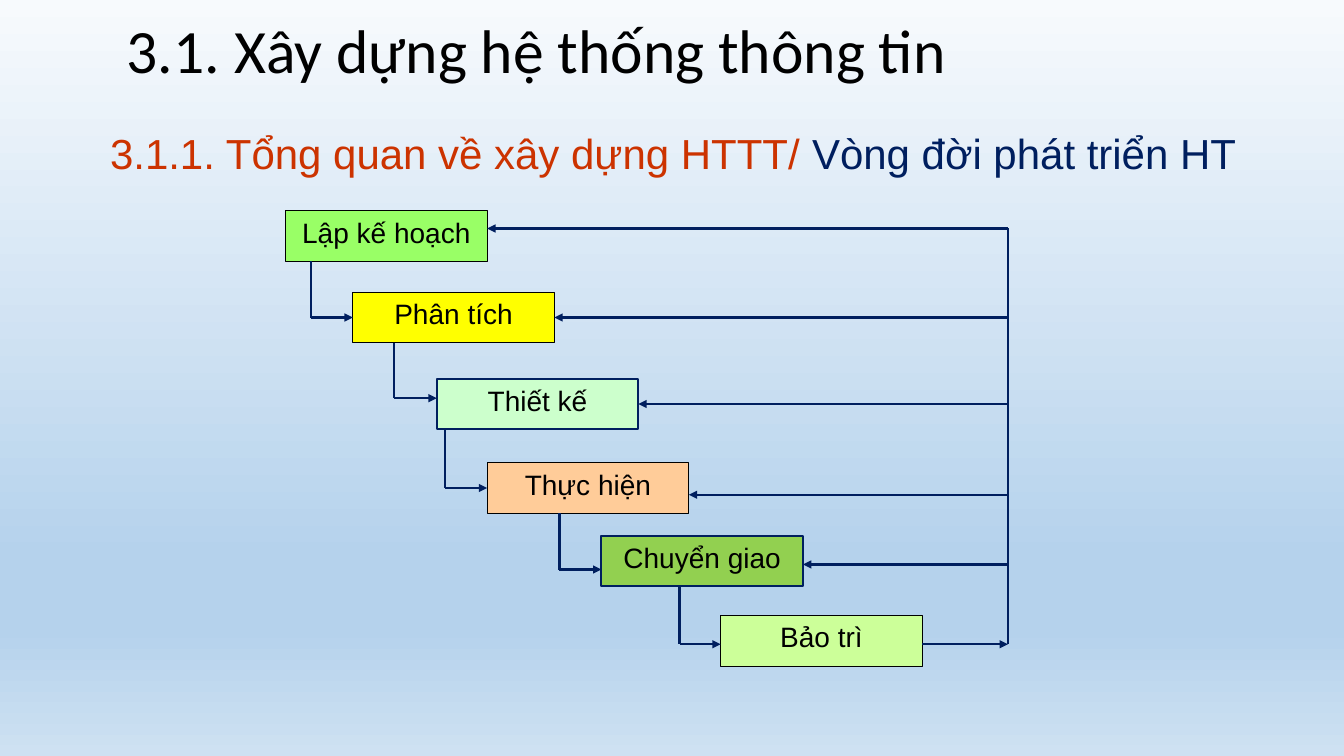
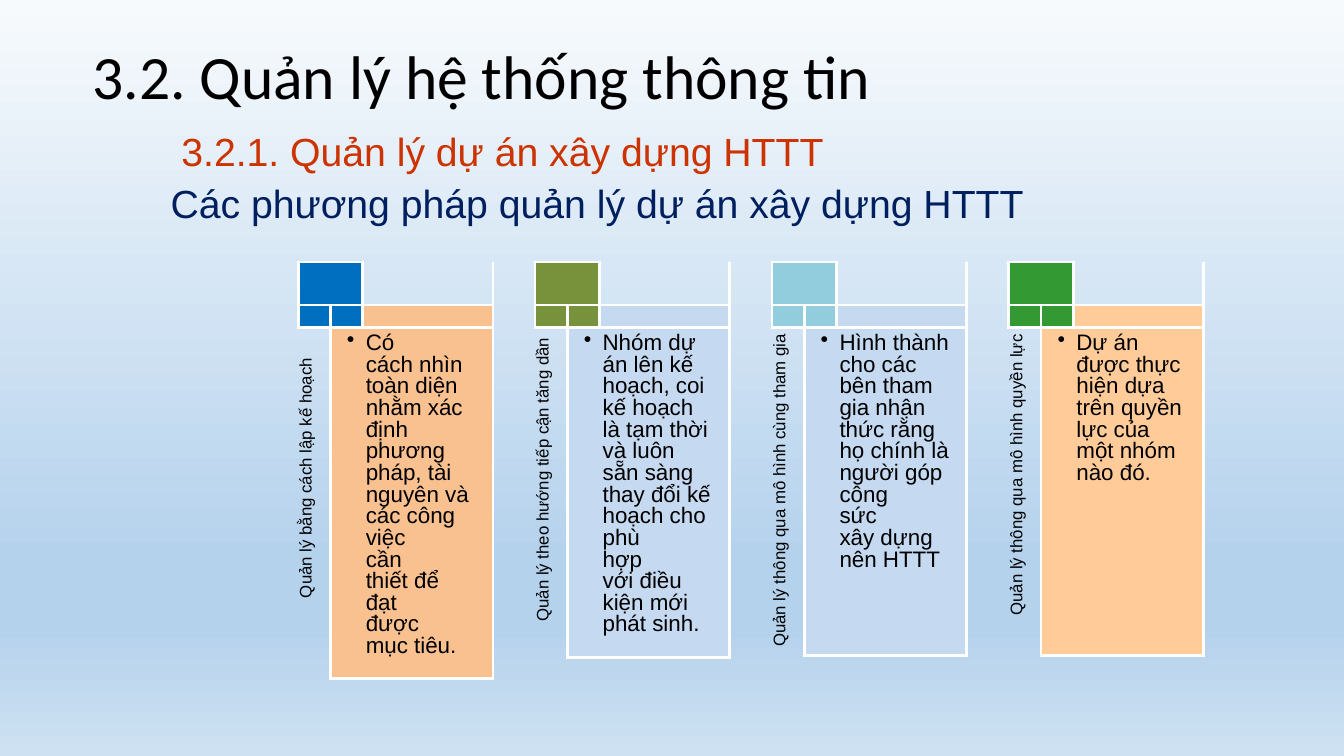
"""Build two slides on developing and managing information systems."""
import collections
import copy

import lxml.etree
import pptx
import pptx.dml.color
import pptx.enum.shapes
import pptx.enum.text
import pptx.oxml.ns
import pptx.util

Color = pptx.dml.color.RGBColor
Pt = pptx.util.Pt
qn = pptx.oxml.ns.qn

BLACK = Color(0x00, 0x00, 0x00)
WHITE = Color(0xFF, 0xFF, 0xFF)
NAVY = Color(0x00, 0x1F, 0x5F)
RUST = Color(0xCC, 0x33, 0x00)
LIME = Color(0x99, 0xFF, 0x66)
YELLOW = Color(0xFF, 0xFF, 0x00)
MINT = Color(0xCC, 0xFF, 0xCC)
PEACH = Color(0xFF, 0xCC, 0x99)
GRASS = Color(0x92, 0xD0, 0x50)
PISTACHIO = Color(0xCC, 0xFF, 0x99)
BLUE = Color(0x00, 0x6F, 0xC0)
OLIVE = Color(0x77, 0x92, 0x3B)
AQUA = Color(0x92, 0xCD, 0xDD)
GREEN = Color(0x33, 0x99, 0x33)
APRICOT = Color(0xF9, 0xC0, 0x90)
ICE = Color(0xC5, 0xD9, 0xF0)
SKY = [(0, Color(0xF7, 0xFA, 0xFD)), (0.74, Color(0xB5, 0xD2, 0xEC)),
       (0.83, Color(0xB5, 0xD2, 0xEC)), (1, Color(0xCE, 0xE1, 0xF2))]

COLUMNS, ROWS = 160, 90
UNIT = pptx.util.Inches(1) // 12
NO_TABLE_STYLE = "{2D5ABB26-0587-4C30-8999-92F81FD0307C}"

Stage = collections.namedtuple("Stage", "name fill edge column row entry back drop")
Card = collections.namedtuple("Card", "label indent square fill height lines")


def units(*lengths):
    """Turn grid lengths into slide lengths."""
    return [round(length * UNIT) for length in lengths]


def add(parent, tag, **attributes):
    """Append an XML child with attributes."""
    return lxml.etree.SubElement(parent, qn(tag), attributes)


class SlideBuilder:
    """Hold the shared style and the current slide."""

    def __init__(self):
        """Open a deck with the sky background."""
        self.deck = pptx.Presentation()
        self.deck.slide_width, self.deck.slide_height = units(COLUMNS, ROWS)
        master = self.deck.slide_master
        fill = master.background.fill
        fill.gradient()
        fill.gradient_angle = 270
        stops = next(master.element.iter(qn("a:gsLst")))
        while len(stops) < len(SKY):
            stops.append(copy.deepcopy(stops[0]))
        for stop, (position, color) in zip(fill.gradient_stops, SKY):
            stop.position = position
            stop.color.rgb = color

    def start(self, title, area):
        """Add a page and its title."""
        self.page = self.deck.slides.add_slide(self.deck.slide_layouts[1])
        frame = self.place(self.page.shapes.title, area, 0.1)
        frame.vertical_anchor = pptx.enum.text.MSO_ANCHOR.MIDDLE
        frame.text = title
        self.style(frame.paragraphs[0], 44, before=1, font="Calibri")

    def place(self, box, area, top):
        """Position a box and prepare its text frame."""
        box.left, box.top, box.width, box.height = units(*area)
        frame = box.text_frame
        frame.word_wrap = True
        frame.auto_size = pptx.enum.text.MSO_AUTO_SIZE.NONE
        frame.vertical_anchor = pptx.enum.text.MSO_ANCHOR.TOP
        frame.margin_left = frame.margin_right = frame.margin_bottom = 0
        frame.margin_top = units(top)[0]
        return frame

    def style(self, para, size, before=0, spacing=None, indent=0, bullet=0,
              font="Arial", color=BLACK, align=pptx.enum.text.PP_ALIGN.LEFT):
        """Format one paragraph."""
        para.alignment = align
        para.space_before = Pt(before)
        para.line_spacing = spacing
        properties = para._p.get_or_add_pPr()
        properties.set("marL", str(units(indent)[0]))
        properties.set("indent", str(units(-bullet)[0]))
        if bullet:
            add(properties, "a:buChar", char="•")
        else:
            add(properties, "a:buNone")
        para.font.name = font
        para.font.size = Pt(size)
        para.font.color.rgb = color

    def body(self, area, top, size, lines):
        """Fill the body placeholder with coloured spans."""
        frame = self.place(self.page.placeholders[1], area, top)
        for number, (indent, before, spans) in enumerate(lines):
            para = frame.add_paragraph() if number else frame.paragraphs[0]
            self.style(para, size, before, indent=indent)
            for text, color in spans:
                span = para.add_run()
                span.text = text
                span.font.color.rgb = color

    def stage(self, stage):
        """Draw one labelled stage box."""
        box = self.page.shapes.add_shape(
            pptx.enum.shapes.MSO_SHAPE.RECTANGLE, 0, 0, 0, 0)
        box.shadow.inherit = False
        box.fill.solid()
        box.fill.fore_color.rgb = stage.fill
        box.line.color.rgb = stage.edge
        box.line.width = Pt(0.72 if stage.edge == BLACK else 1.56)
        frame = self.place(box, (stage.column, stage.row, *STAGE_SIZE), 0.5)
        frame.text = stage.name
        self.style(frame.paragraphs[0], 20, before=3,
                   align=pptx.enum.text.PP_ALIGN.CENTER)

    def line(self, *ends, arrow=True):
        """Draw a navy line between two grid points."""
        line = self.page.shapes.add_connector(
            pptx.enum.shapes.MSO_CONNECTOR.STRAIGHT, *units(*ends))
        line.line.color.rgb = NAVY
        line.line.width = Pt(1.56)
        if arrow:
            add(line.line._get_or_add_ln(), "a:tailEnd", type="triangle")
        add(line._element.spPr, "a:effectLst")

    def cell(self, cell, sides, fill=None):
        """Give a cell its borders, fill and zero margins."""
        cell.margin_left = cell.margin_right = 0
        cell.margin_top = cell.margin_bottom = 0
        properties = cell._tc.get_or_add_tcPr()
        for side in "LRTB":
            if side in sides:
                edge = add(properties, "a:ln" + side, w=str(Pt(2.25)))
                add(add(edge, "a:solidFill"), "a:srgbClr", val=str(WHITE))
        if fill is None:
            cell.fill.background()
        else:
            cell.fill.solid()
            cell.fill.fore_color.rgb = fill

    def card(self, card, column, row):
        """Draw one method card as a table."""
        widths = (3.85, 3.85, 15.5)
        heights = (5.1, 2.7, card.height)
        table = self.page.shapes.add_table(
            3, 3, *units(column, row, sum(widths), sum(heights))).table
        table.first_row = table.horz_banding = False
        next(table._tbl.iter(qn("a:tableStyleId"))).text = NO_TABLE_STYLE
        for part, width in zip(table.columns, units(*widths)):
            part.width = width
        for part, height in zip(table.rows, units(*heights)):
            part.height = height
        looks = [[("LRTB", card.square), ("LRTB", card.square), ("LB",)],
                 [("LRTB", card.square), ("LRTB", card.square), ("LRTB", card.fill)],
                 [("TR",), ("LRTB", card.fill), ("LRTB", card.fill)]]
        for part, part_looks in zip(table.rows, looks):
            for cell, look in zip(part.cells, part_looks):
                self.cell(cell, *look)
        table.cell(0, 0).merge(table.cell(0, 1))
        table.cell(2, 1).merge(table.cell(2, 2))
        label, detail = table.cell(2, 0), table.cell(2, 1)
        label.text = card.label
        label._tc.get_or_add_tcPr().set("vert", "vert270")
        self.style(label.text_frame.paragraphs[0], 12, spacing=Pt(12.2),
                   indent=card.indent)
        detail.margin_top = units(0.7)[0]
        detail.text = card.lines.replace("/", "\v")
        self.style(detail.text_frame.paragraphs[0], 16, before=4.5,
                   spacing=0.87, indent=4.2, bullet=2.25)
        for cell in table.iter_cells():
            if not cell.text:
                add(cell.text_frame.paragraphs[0]._p, "a:endParaRPr", sz="600")


STAGE_SIZE = STAGE_WIDTH, STAGE_HEIGHT = 24, 6
SPINE = 120
STAGES = [
    Stage("Lập kế hoạch", LIME, BLACK, 34, 25.1, None, 27.2, 37),
    Stage("Phân tích", YELLOW, BLACK, 42, 34.8, 37.8, 37.8, 46.9),
    Stage("Thiết kế", MINT, NAVY, 52, 45.1, 47.4, 48.1, 53),
    Stage("Thực hiện", PEACH, BLACK, 58, 55.1, 58.1, 58.9, 66.6),
    Stage("Chuyển giao", GRASS, NAVY, 71.6, 63.8, 67.8, 67.2, 80.9),
    Stage("Bảo trì", PISTACHIO, BLACK, 85.8, 73.3, 76.7, None, None),
]
CARDS = [
    Card("Quản lý bằng cách lập kế hoạch", 9.6, BLUE, APRICOT, 41.8,
         "Có/cách nhìn/toàn diện/nhằm xác/định/phương/pháp, tài/nguyên và/"
         "các công/việc/cần/thiết để/đạt/được/mục tiêu."),
    Card("Quản lý theo hướng tiếp cận tăng dần", 4.3, OLIVE, ICE, 39.3,
         "Nhóm dự/án lên kế/hoạch, coi/kế hoạch/là tạm thời/và luôn/sẵn sàng/"
         "thay đổi kế/hoạch cho/phù/hợp/với điều/kiện mới/phát sinh."),
    Card("Quản lý thông qua mô hình cùng tham gia", 1, AQUA, ICE, 39,
         "Hình thành/cho các/bên tham/gia nhận/thức rằng/họ chính là/"
         "người góp/công/sức/xây dựng/nên HTTT"),
    Card("Quản lý thông qua mô hình quyền lực", 4.7, GREEN, PEACH, 39,
         "Dự án/được thực/hiện dựa/trên quyền/lực của/một nhóm/nào đó."),
]

builder = SlideBuilder()

builder.start("3.1. Xây dựng hệ thống thông tin", (15.1, 1.3, 112, 9))
builder.body((13, 15.1, 138, 6.4), 0.1, 30, [
    (0.1, 1, [("3.1.1. Tổng quan về xây dựng HTTT/ ", RUST),
              ("Vòng đời phát triển HT", NAVY)])])
for stage in STAGES:
    builder.stage(stage)
for stage, following in zip(STAGES, STAGES[1:]):
    builder.line(stage.drop, stage.row + STAGE_HEIGHT, stage.drop,
                 following.entry, arrow=False)
    builder.line(stage.drop, following.entry, following.column, following.entry)
    builder.line(SPINE, stage.back, stage.column + STAGE_WIDTH, stage.back)
last = STAGES[-1]
builder.line(last.column + STAGE_WIDTH, last.entry, SPINE, last.entry)
builder.line(SPINE, STAGES[0].back, SPINE, last.entry, arrow=False)

builder.start("3.2. Quản lý hệ thống thông tin", (11, 0.2, 138, 17.4))
builder.body((20.2, 14.3, 104, 12.8), 0.8, 28, [
    (1.4, 5, [("3.2.1. Quản lý dự án xây dựng HTTT", RUST)]),
    (0.1, 4, [("Các phương pháp quản lý dự án xây dựng HTTT", NAVY)])])
for number, card in enumerate(CARDS):
    builder.card(card, 35.5 + 28.2 * number, 31.2)

builder.deck.save("out.pptx")
